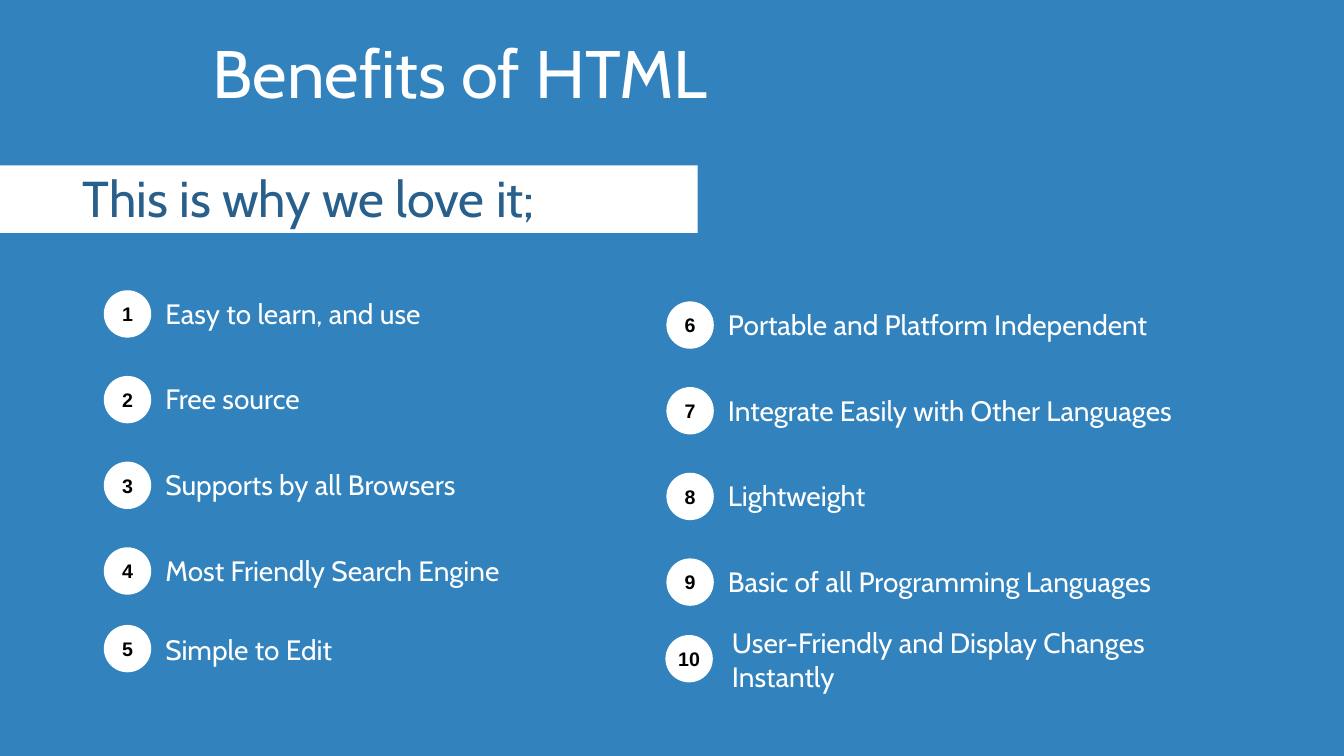
"""Builds a slide listing ten benefits of HTML in two numbered columns."""
from dataclasses import dataclass

from pptx import Presentation
from pptx.dml.color import RGBColor
from pptx.enum.shapes import MSO_SHAPE
from pptx.enum.text import MSO_ANCHOR, MSO_AUTO_SIZE, PP_ALIGN
from pptx.util import Inches, Pt

RECTANGLE, OVAL = MSO_SHAPE.RECTANGLE, MSO_SHAPE.OVAL
LEFT, CENTER = PP_ALIGN.LEFT, PP_ALIGN.CENTER
TOP, MIDDLE = MSO_ANCHOR.TOP, MSO_ANCHOR.MIDDLE
NO_AUTOFIT = MSO_AUTO_SIZE.NONE
TITLE_ONLY = 5


@dataclass(frozen=True)
class Theme:
    """Colours, fonts and type sizes of the slide."""
    blue: str = "3182BD"
    dark_blue: str = "285F8B"
    white: str = "FFFFFF"
    black: str = "000000"
    text_font: str = "Cabin"
    number_font: str = "Arial"
    title_size: int = 48
    subtitle_size: int = 36
    item_size: int = 20
    number_size: int = 14


class BenefitsSlide:
    """Holds the theme and the slide, and adds each kind of element."""

    def __init__(self, deck, theme):
        self.theme = theme
        self.slide = deck.slides.add_slide(deck.slide_layouts[TITLE_ONLY])
        background = self.slide.background.fill
        background.solid()
        background.fore_color.rgb = RGBColor.from_string(theme.blue)

    def set_text(self, shape, text, size, color, font=None, bold=False,
                 align=LEFT, anchor=TOP, wrap=False):
        """Put formatted text into a shape."""
        frame = shape.text_frame
        frame.text = text
        frame.auto_size = NO_AUTOFIT
        frame.word_wrap = wrap
        frame.vertical_anchor = anchor
        frame.margin_left = frame.margin_right = frame.margin_bottom = 0
        frame.margin_top = Inches(0.01 if anchor == TOP else 0)
        paragraph = frame.paragraphs[0]
        paragraph.alignment = align
        paragraph.space_before = Pt(1 if anchor == TOP else 0)
        for run in paragraph.runs:
            run.font.name = font or self.theme.text_font
            run.font.size = Pt(size)
            run.font.bold = bold
            run.font.color.rgb = RGBColor.from_string(color)

    def title(self, text, left, top, width, height):
        """Move and fill the title placeholder."""
        heading = self.slide.shapes.title
        heading.left, heading.top = Inches(left), Inches(top)
        heading.width, heading.height = Inches(width), Inches(height)
        self.set_text(heading, text, self.theme.title_size, self.theme.white)

    def panel(self, kind, left, top, width, height):
        """Add a plain white shape."""
        panel = self.slide.shapes.add_shape(
            kind, Inches(left), Inches(top), Inches(width), Inches(height))
        panel.shadow.inherit = False
        panel.fill.solid()
        panel.fill.fore_color.rgb = RGBColor.from_string(self.theme.white)
        panel.line.fill.background()
        return panel

    def label(self, text, left, top, width, height, size, color, wrap=False):
        """Add a text box."""
        label = self.slide.shapes.add_textbox(
            Inches(left), Inches(top), Inches(width), Inches(height))
        self.set_text(label, text, size, color, wrap=wrap)

    def badge(self, number, left, top):
        """Add a white disc with a number in it."""
        disc = self.panel(OVAL, left, top, 0.47, 0.47)
        self.set_text(disc, str(number), self.theme.number_size,
                      self.theme.black, font=self.theme.number_font, bold=True,
                      align=CENTER, anchor=MIDDLE)

    def benefit(self, number, text, left, top, width, shift=(0.61, 0.05),
                height=0.36):
        """Add a numbered badge with its label."""
        self.badge(number, left, top)
        self.label(text, left + shift[0], top + shift[1], width, height,
                   self.theme.item_size, self.theme.white, wrap=height > 0.5)


ROW_STEP = 0.85
COLUMNS = (
    (1, 1.03, 2.88, (("Easy to learn, and use", 2.79),
                     ("Free source", 1.51),
                     ("Supports by all Browsers", 3.1),
                     ("Most Friendly Search Engine", 3.59))),
    (6, 6.61, 2.99, (("Portable and Platform Independent", 4.34),
                     ("Integrate Easily with Other Languages", 4.74),
                     ("Lightweight", 1.44),
                     ("Basic of all Programming Languages", 4.57))),
)


def main():
    """Build and save the slide."""
    deck = Presentation()
    deck.slide_width, deck.slide_height = Inches(13.33), Inches(7.5)
    theme = Theme()
    page = BenefitsSlide(deck, theme)
    page.title("Benefits of HTML", 2.11, 0.3, 5.19, 0.83)
    page.panel(RECTANGLE, 0, 1.64, 6.92, 0.67)
    page.label("This is why we love it;", 0.82, 1.65, 4.86, 0.63,
               theme.subtitle_size, theme.dark_blue)
    for first_number, left, first_top, benefits in COLUMNS:
        for row, (text, width) in enumerate(benefits):
            page.benefit(first_number + row, text, left,
                         first_top + row * ROW_STEP, width)
    page.benefit(5, "Simple to Edit", 1.03, 6.2, 1.74, shift=(0.61, 0.07))
    page.benefit(10, "User-Friendly and Display Changes Instantly", 6.6, 6.3,
                 4.42, shift=(0.66, -0.1), height=0.7)
    deck.save("out.pptx")


if __name__ == "__main__":
    main()
